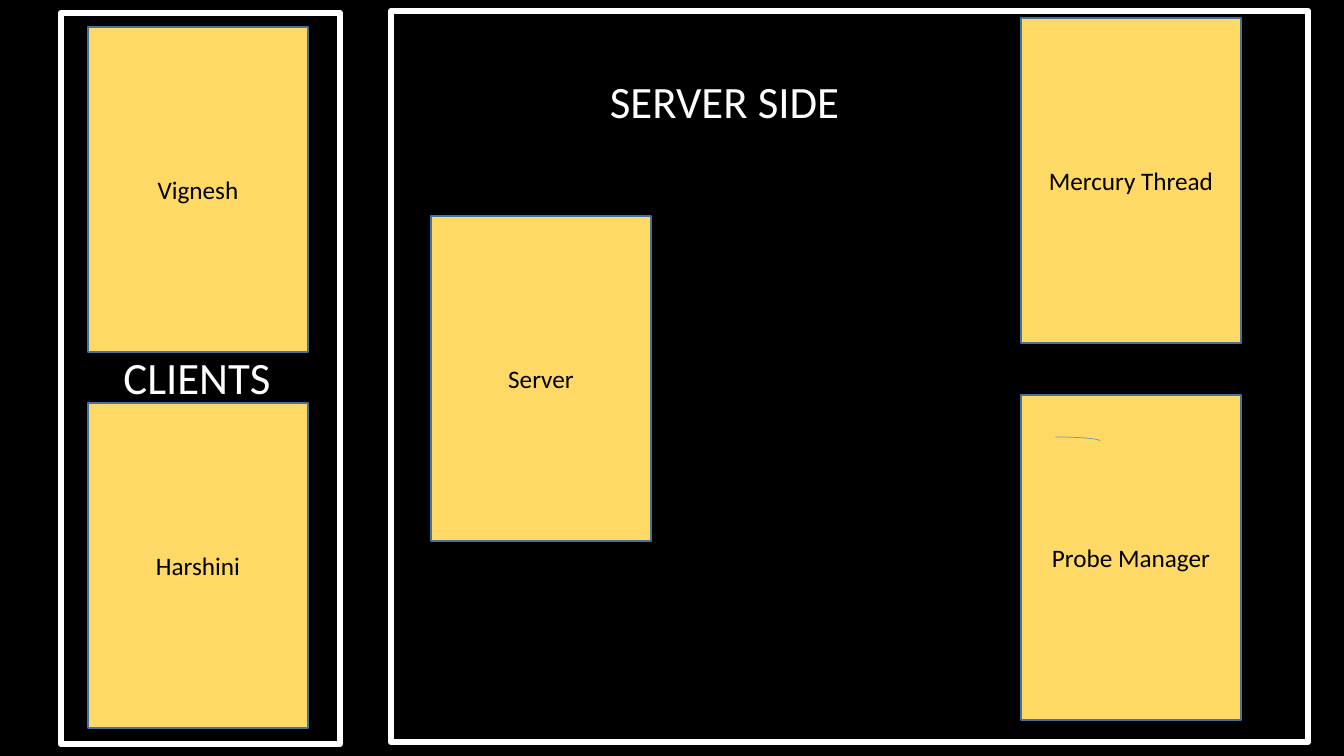
from pptx import Presentation
from pptx.dml.color import RGBColor
from pptx.enum.shapes import MSO_SHAPE
from pptx.enum.text import MSO_ANCHOR, PP_ALIGN
from pptx.util import Emu, Pt

RECT, ARC = MSO_SHAPE.RECTANGLE, MSO_SHAPE.ARC
MIDDLE = MSO_ANCHOR.MIDDLE
LEFT, CENTER = PP_ALIGN.LEFT, PP_ALIGN.CENTER

SCALE = 914400 / 100.8
FONT = "Calibri"
CARD = (220, 325)
LABEL = (354, 65)
COLORS = {
    "back": "000000",
    "card": "FFD966",
    "edge": "43739E",
    "arc": "5B9BD5",
    "frame": "FFFFFF",
    "label": "FFFFFF",
    "name": "000000",
}


def color(key):
    """Look up a colour by its role."""
    return RGBColor.from_string(COLORS[key])


def px(*vals):
    """Turn pixels into EMU."""
    return [Emu(round(val * SCALE)) for val in vals]


def put_text(shape, text, size, key, align):
    """Write one styled line into a shape."""
    frame = shape.text_frame
    frame.word_wrap = True
    frame.text = text
    para = frame.paragraphs[0]
    para.alignment = align
    font = para.runs[0].font
    font.name, font.size = FONT, Pt(size)
    font.color.rgb = color(key)


def add_shape(slide, kind, box, line, width, fill=None):
    """Add a flat preset shape with a line and an optional fill."""
    shape = slide.shapes.add_shape(kind, *px(*box))
    shape.shadow.inherit = False
    if fill:
        shape.fill.solid()
        shape.fill.fore_color.rgb = color(fill)
    else:
        shape.fill.background()
    shape.line.color.rgb = color(line)
    shape.line.width = Pt(width)
    return shape


def add_card(slide, left, top, name):
    """Add a yellow card with its name in the middle."""
    card = add_shape(slide, RECT, (left, top, *CARD), "edge", 1, "card")
    card.text_frame.vertical_anchor = MIDDLE
    put_text(card, name, 18, "name", CENTER)


def add_label(slide, left, top, text, align):
    """Add the large white label of a region."""
    label = slide.shapes.add_textbox(*px(left, top, *LABEL))
    put_text(label, text, 32, "label", align)


def add_clients(slide, box):
    """Draw the clients frame with two cards around its label."""
    left, top = box[:2]
    add_shape(slide, RECT, box, "frame", 4.5)
    add_card(slide, left + 27, top + 390, "Harshini")
    add_label(slide, left - 41, top + 332, "CLIENTS", CENTER)
    add_card(slide, left + 27, top + 14, "Vignesh")


def add_server(slide, box):
    """Draw the server frame with its label, cards and small arc."""
    left, top = box[:2]
    add_shape(slide, RECT, box, "frame", 4.5)
    add_label(slide, left + 209, top + 58, "SERVER SIDE", LEFT)
    cards = [
        (40, 205, "Server"),
        (630, 7, "Mercury Thread"),
        (630, 384, "Probe Manager"),
    ]
    for right, down, name in cards:
        add_card(slide, left + right, top + down, name)
    add_shape(slide, ARC, (left + 620, top + 426, 89, 8), "arc", 0.5)


deck = Presentation()
deck.slide_width, deck.slide_height = px(1344, 756)
slide = deck.slides.add_slide(deck.slide_layouts[6])
slide.background.fill.solid()
slide.background.fill.fore_color.rgb = color("back")
add_server(slide, (391, 11, 917, 731))
add_clients(slide, (61, 13, 279, 731))
deck.save("out.pptx")
